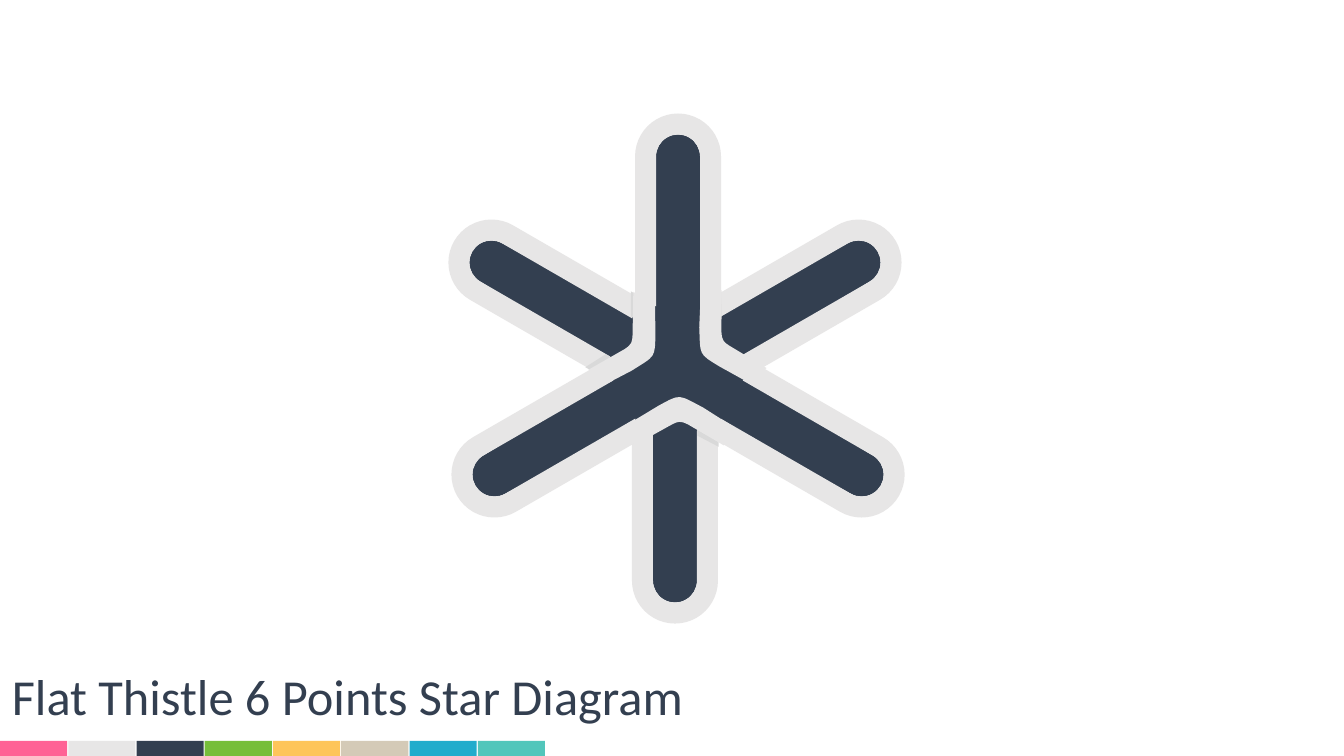
import math

import lxml.etree
import pptx
import pptx.dml.color
import pptx.enum.shapes
import pptx.oxml.ns
import pptx.util

EMU_PER_PIXEL = 914400 / 100.8
COLORS = {
    "pink": "FF6295", "light": "E7E6E6", "navy": "333F50", "green": "76BE39",
    "yellow": "FEC55A", "sand": "D4CAB7", "blue": "21ACCC", "teal": "52C6BB",
    "shade": "D9D9D9",
}
PALETTE = ["pink", "light", "navy", "green", "yellow", "sand", "blue", "teal"]
ARM_TURNS = (0, 120, 240)
STAR_TILT = 150
TIP_Y, CORE_RADIUS, RIM_RADIUS = -212, 22, 43


def emu(pixels):
    """Turn pixels into EMU."""
    return pptx.util.Emu(round(pixels * EMU_PER_PIXEL))


def rgb(name):
    """Look up a colour by name."""
    return pptx.dml.color.RGBColor.from_string(COLORS[name])


def paint(shape, color):
    """Give a shape a flat fill without outline or shadow."""
    shape.fill.solid()
    shape.fill.fore_color.rgb = rgb(color)
    shape.line.fill.background()
    shape.shadow.inherit = False


def add_text(slide, text, box, *, size, color, font):
    """Add one line of formatted text in a box."""
    frame = slide.shapes.add_textbox(*map(emu, box)).text_frame
    frame.word_wrap = True
    run = frame.paragraphs[0].add_run()
    run.text = text
    run.font.size = pptx.util.Pt(size)
    run.font.name = font
    run.font.color.rgb = rgb(color)


def rotate(point, degrees):
    """Rotate a point clockwise about the star centre."""
    x, y = point
    c, s = math.cos(math.radians(degrees)), math.sin(math.radians(degrees))
    return x * c - y * s, x * s + y * c


def turn(outline, degrees):
    """Rotate an outline, whose steps hold one point or a curve of three."""
    return [[rotate(point, degrees) for point in step] for step in outline]


def corners(*points):
    """Turn points into straight steps of an outline."""
    return [[point] for point in points]


def tip(radius, side=1):
    """Return the rounded arm end, left to right or back with side -1."""
    reach = 4 / 3 * math.tan(math.radians(15)) * radius
    arc = [[(-radius, 0)]]
    for angle in (0, 60, 120):
        arc.append([rotate((-radius, -reach), angle),
                    rotate((-radius, reach), angle + 60),
                    rotate((-radius, 0), angle + 60)])
    return [[(side * x, y + TIP_Y) for x, y in step] for step in arc]


def add_outline(slide, outline, center, flip, color, tilt):
    """Draw a closed outline in a tilted frame, mirrored vertically by flip -1."""
    tilt *= flip
    mirrored = [[(x, flip * y) for x, y in step] for step in outline]
    upright = turn(mirrored, -tilt)
    points = [(emu(x), emu(y)) for step in upright for x, y in step]
    builder = slide.shapes.build_freeform(*points[0])
    builder.add_line_segments(points[1:], close=True)
    shape = builder.convert_to_shape()
    lines = iter(shape.element.findall(".//" + pptx.oxml.ns.qn("a:lnTo")))
    for step in upright[1:]:
        group = [next(lines) for _ in step]
        if len(group) == 3:
            bend = lxml.etree.Element(pptx.oxml.ns.qn("a:cubicBezTo"))
            group[0].addprevious(bend)
            for line in group:
                bend.append(line[0])
                line.getparent().remove(line)
    middle = rotate((shape.left + shape.width / 2, shape.top + shape.height / 2), tilt)
    shape.left = round(emu(center[0]) + middle[0] - shape.width / 2)
    shape.top = round(emu(center[1]) + middle[1] - shape.height / 2)
    shape.rotation = tilt % 360
    paint(shape, color)


def add_tripod(slide, box, flip, web_color):
    """Draw three joined arms with rims and webs in a box."""
    left, top, width, height = box
    center = left + width / 2, top + height / 2
    core_arm = tip(CORE_RADIUS) + turn(corners((0, 30)), -120)
    core = [step for degrees in ARM_TURNS for step in turn(core_arm, degrees)]
    rim = (corners((-RIM_RADIUS, -75)) + tip(RIM_RADIUS)
           + corners((RIM_RADIUS, -75), (CORE_RADIUS, -62))
           + tip(CORE_RADIUS, -1) + corners((-CORE_RADIUS, -62)))
    web = (corners((-44, 77), (-6, 56)) + [[(0, 53), (2, 52), (10, 56)]]
           + corners((46, 77), (47, 53), (25, 39))
           + [[(0, 26), (3, 25), (-19, 37)]] + corners((-44, 52)))
    add_outline(slide, core, center, flip, "navy", STAR_TILT)
    for degrees in (120, 0, 240):
        add_outline(slide, turn(rim, degrees), center, flip, "light", STAR_TILT)
    for degrees in ARM_TURNS:
        add_outline(slide, turn(web, degrees), center, flip, web_color, degrees)


def add_star(slide, box):
    """Draw the six-point star as two opposed tripods."""
    left, top, width, height = box
    add_tripod(slide, (left, top, width - 3, height), -1, "shade")
    add_tripod(slide, (left + 3, top, width - 3, height), 1, "light")


def add_palette(slide, box, gap=1):
    """Draw the row of colour swatches along a box."""
    left, top, width, height = box
    pitch = (width + gap) / len(PALETTE)
    for index, color in enumerate(PALETTE):
        swatch = slide.shapes.add_shape(
            pptx.enum.shapes.MSO_SHAPE.RECTANGLE,
            emu(left + index * pitch), emu(top), emu(pitch - gap), emu(height))
        paint(swatch, color)


def build():
    """Build and save the slide."""
    deck = pptx.Presentation()
    deck.slide_width, deck.slide_height = emu(1344), emu(756)
    slide = deck.slides.add_slide(deck.slide_layouts[6])
    add_palette(slide, (0, 741, 545, 15))
    add_star(slide, (448, 113, 457, 511))
    add_text(slide, "Flat Thistle 6 Points Star Diagram", (2, 660, 714, 72),
             size=36, color="navy", font="Calibri")
    deck.save("out.pptx")


build()
